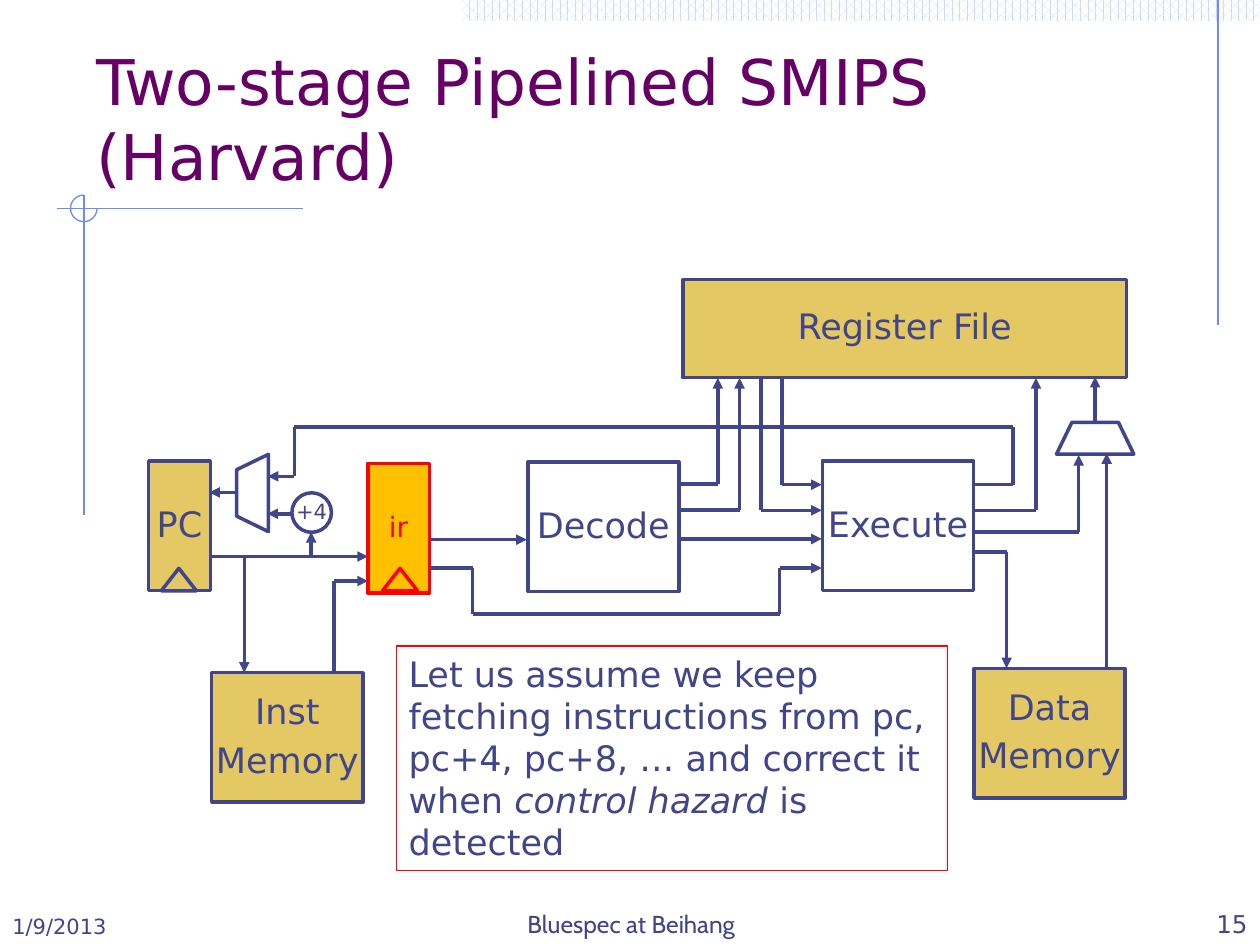
from itertools import pairwise

from lxml.etree import SubElement
from pptx import Presentation
from pptx.dml.color import RGBColor
from pptx.enum.dml import MSO_PATTERN
from pptx.enum.shapes import MSO_CONNECTOR, MSO_SHAPE
from pptx.enum.text import MSO_ANCHOR, PP_ALIGN
from pptx.oxml.ns import qn
from pptx.util import Pt

INK = RGBColor(0x40, 0x45, 0x8C)
PURPLE = RGBColor(0x66, 0x00, 0x66)
GOLD = RGBColor(0xE4, 0xC8, 0x64)
AMBER = RGBColor(0xFF, 0xC0, 0x00)
RED = RGBColor(0xFF, 0x00, 0x00)
WHITE = RGBColor(0xFF, 0xFF, 0xFF)
PALE_BLUE = RGBColor(0xCF, 0xDB, 0xFD)
RULE_BLUE = RGBColor(0x6F, 0x89, 0xF7)

SANS = "DejaVu Sans"
UNIT = (86.4, 74)
REGISTER = (35.2, 74)

BLOCKS = [  # lines of text, position, size, fill
    (["PC"], (85, 263.5), REGISTER, GOLD),
    (["Inst", "Memory"], (121, 384.4), UNIT, GOLD),
    (["Decode"], (301.6, 264), UNIT, None),
    (["Register File"], (390.2, 159.8), (253.6, 56), GOLD),
    (["Execute"], (470, 263.5), UNIT, None),
    (["Data", "Memory"], (556.6, 382), UNIT, GOLD),
]

WIRES = [  # corner points; the arrowhead sits on the last one
    [(246, 324.6), (270, 324.6), (270, 351), (445.5, 351), (445.5, 324.6), (469.6, 324.6)],
    [(388.6, 308), (469.6, 308)],
    [(447, 216), (447, 277), (469.6, 277)],
    [(434.8, 216), (434.8, 291.6), (469.6, 291.6)],
    [(139.6, 318), (139.6, 384.4)],
    [(120.2, 318), (210.2, 318)],
    [(190.8, 384), (190.8, 332), (210.2, 332)],
    [(556, 315.4), (575.2, 315.4), (575.2, 381.8)],
    [(388, 276.6), (410.2, 276.6), (410.2, 216)],
    [(388, 291.4), (422.6, 291.4), (422.6, 216)],
    [(632.4, 382), (632.4, 259)],
    [(625.8, 241), (625.8, 215.4)],
    [(556.4, 291.6), (592, 291.6), (592, 216)],
    [(556, 304), (616.4, 304), (616.4, 260)],
    [(177.8, 319), (177.8, 304)],
    [(135, 281.4), (119.6, 281.4)],
    [(167, 293.6), (152.8, 293.6)],
    [(556.4, 277), (578.8, 277), (578.8, 244), (168.2, 244), (168.2, 272.2), (153, 272.2)],
    [(246, 308.4), (301, 308.4)],
]


def add_run(paragraph, text, size, color, font=SANS, italic=False):
    run = paragraph.add_run()
    run.text = text
    run.font.name = font
    run.font.size = Pt(size)
    run.font.italic = italic
    run.font.color.rgb = color


def add_shape(slide, kind, position, size, fill=None, line=INK, width=2):
    shape = slide.shapes.add_shape(kind, *map(Pt, position + size))
    shape.shadow.inherit = False
    if fill is None:
        shape.fill.background()
    else:
        shape.fill.solid()
        shape.fill.fore_color.rgb = fill
    if line is None:
        shape.line.fill.background()
    else:
        shape.line.color.rgb = line
        shape.line.width = Pt(width)
    return shape


def label(shape, lines, size=20, color=INK):
    frame = shape.text_frame
    frame.word_wrap = False
    frame.vertical_anchor = MSO_ANCHOR.MIDDLE
    for index, text in enumerate(lines):
        paragraph = frame.add_paragraph() if index else frame.paragraphs[0]
        paragraph.alignment = PP_ALIGN.CENTER
        paragraph.line_spacing = 0.9
        if index:
            paragraph.space_before = Pt(6)
        add_run(paragraph, text, size, color)


def add_line(slide, start, end, color=INK, width=2, arrow=False):
    line = slide.shapes.add_connector(MSO_CONNECTOR.STRAIGHT, *map(Pt, start + end))
    line.line.color.rgb = color
    line.line.width = Pt(width)
    properties = line._element.spPr
    if arrow:
        SubElement(properties.find(qn("a:ln")), qn("a:tailEnd"), type="triangle")
    SubElement(properties, qn("a:effectLst"))


def add_wire(slide, points):
    """Join the points with straight lines, ending in an arrowhead."""
    for start, end in pairwise(points):
        add_line(slide, start, end, arrow=end == points[-1])


def add_text(slide, text, position, size, font_size, color=INK, font=SANS, align=PP_ALIGN.LEFT):
    frame = slide.shapes.add_textbox(*map(Pt, position + size)).text_frame
    frame.word_wrap = True
    frame.vertical_anchor = MSO_ANCHOR.BOTTOM
    frame.paragraphs[0].alignment = align
    add_run(frame.paragraphs[0], text, font_size, color, font)


def add_decoration(slide):
    band = add_shape(slide, MSO_SHAPE.RECTANGLE, (264, 0), (456, 12), line=None)
    band.fill.patterned()
    band.fill.pattern = MSO_PATTERN.PERCENT_60
    band.fill.fore_color.rgb = PALE_BLUE
    band.fill.back_color.rgb = WHITE
    for start, end in [
        ((696, 0), (696, 186)),
        ((173, 119.2), (32.6, 119.2)),
        ((48, 111.5), (48, 294.5)),
    ]:
        add_line(slide, start, end, RULE_BLUE, 0.75)
    arc = add_shape(slide, MSO_SHAPE.ARC, (40.3, 111.5), (15.2, 15.2), line=RULE_BLUE, width=0.75)
    arc.adjustments[0] = 0
    arc.adjustments[1] = 162  # 270 degrees, in units of 1/0.6 degree


def add_mux(slide, position, rotation):
    mux = add_shape(slide, MSO_SHAPE.FLOWCHART_MANUAL_OPERATION, position, (44.2, 18.2), WHITE)
    mux.rotation = rotation


def add_datapath(slide):
    for lines, position, size, fill in BLOCKS:
        label(add_shape(slide, MSO_SHAPE.RECTANGLE, position, size, fill), lines)
    for points in WIRES:
        add_wire(slide, points)
    add_mux(slide, (603.7, 241.3), 180)
    add_mux(slide, (122.2, 272.6), 90)
    label(add_shape(slide, MSO_SHAPE.OVAL, (166.8, 281.6), (22.6, 22.6)), ["+4"], 12)
    instruction = add_shape(slide, MSO_SHAPE.RECTANGLE, (210.2, 264.8), REGISTER, AMBER, RED)
    label(instruction, ["ir"], 16, RED)
    for left, color in [(92.2, INK), (218.6, RED)]:
        add_shape(slide, MSO_SHAPE.ISOSCELES_TRIANGLE, (left, 324.8), (20, 12.8), line=color)


def add_note(slide):
    note = add_shape(slide, MSO_SHAPE.RECTANGLE, (226.4, 369.2), (315.2, 128.4), line=RED, width=0.75)
    frame = note.text_frame
    frame.word_wrap = True
    frame.vertical_anchor = MSO_ANCHOR.TOP
    paragraph = frame.paragraphs[0]
    paragraph.alignment = PP_ALIGN.LEFT
    add_run(paragraph, "Let us assume we keep fetching instructions from pc, "
            "pc+4, pc+8, … and correct it when ", 20, INK)
    add_run(paragraph, "control hazard ", 20, INK, italic=True)
    add_run(paragraph, "is detected", 20, INK)


def main():
    presentation = Presentation()
    presentation.slide_width = Pt(720)
    presentation.slide_height = Pt(540)
    slide = presentation.slides.add_slide(presentation.slide_layouts[6])
    add_decoration(slide)
    add_text(slide, "Two-stage Pipelined SMIPS (Harvard)", (48, 24), (612, 90), 36, PURPLE)
    add_datapath(slide)
    add_note(slide)
    add_text(slide, "1/9/2013", (0, 504), (150, 36), 12)
    add_text(slide, "Bluespec at Beihang", (242, 504), (237.6, 36), 14,
             font="Cabin", align=PP_ALIGN.CENTER)
    add_text(slide, "15", (570, 504), (150, 36), 14, align=PP_ALIGN.RIGHT)
    presentation.save("out.pptx")


if __name__ == "__main__":
    main()
